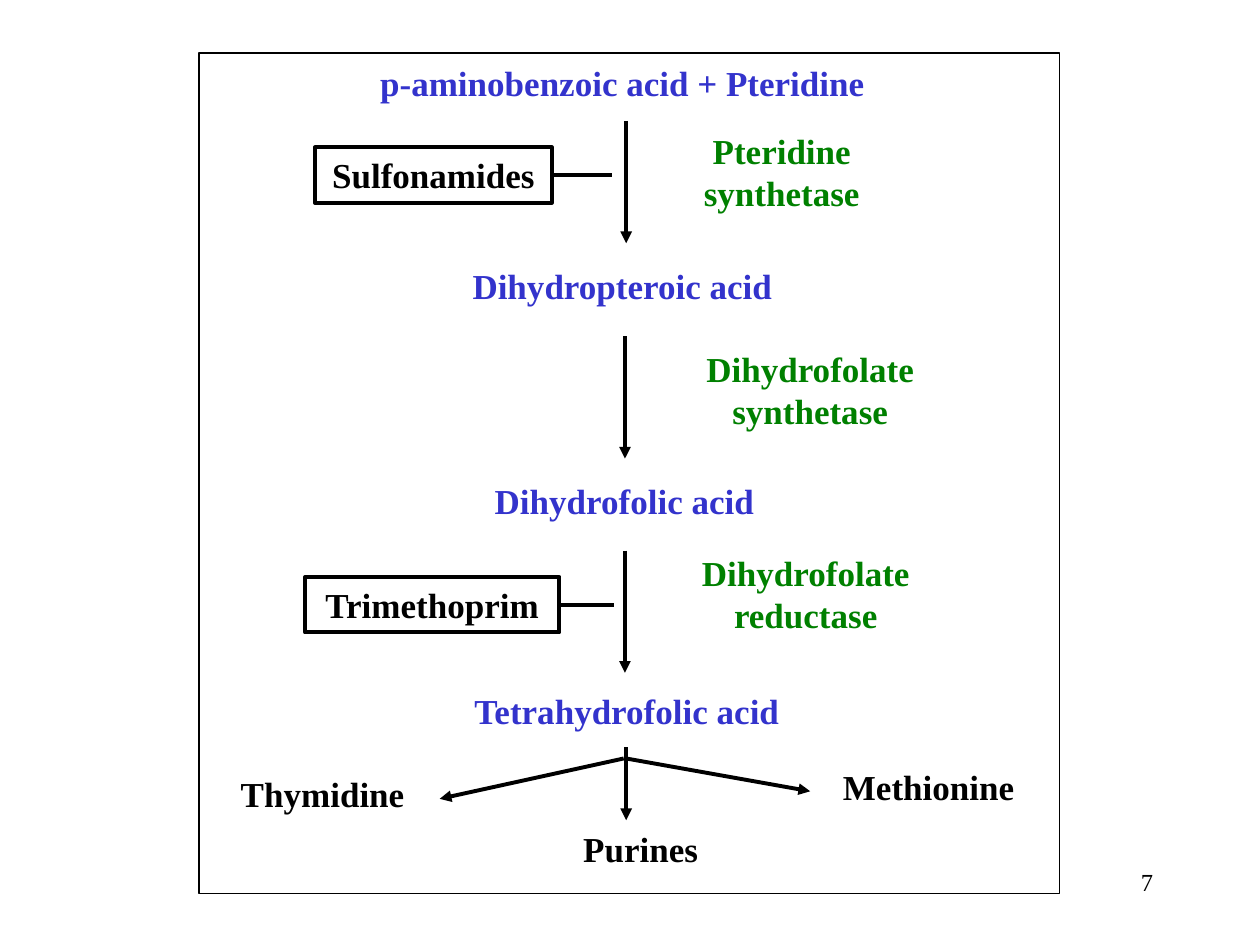
from lxml import etree
from pptx import Presentation
from pptx.dml.color import RGBColor
from pptx.enum.shapes import MSO_CONNECTOR as Connector, MSO_SHAPE as Shape
from pptx.enum.text import MSO_ANCHOR as Anchor, PP_ALIGN as Align
from pptx.oxml.ns import qn
from pptx.util import Inches, Pt

BLACK, BLUE, GREEN, WHITE = "000000", "3333CC", "008000", "FFFFFF"


def color(value):
    return RGBColor.from_string(value)


class PathwaySlide:
    font = "Times New Roman"
    size = 20
    stroke = 2.25
    label_height = 0.44

    def __init__(self, slide):
        self.slide = slide
        self.shapes = slide.shapes

    def set_text(self, shape, text, hue, size=None, bold=True, align=Align.CENTER, before=12.5):
        frame = shape.text_frame
        frame.word_wrap = True
        frame.vertical_anchor = Anchor.TOP
        paragraph = frame.paragraphs[0]
        paragraph.text = text
        paragraph.alignment = align
        paragraph.space_before = Pt(before)
        font = paragraph.font
        font.name, font.size, font.bold = self.font, Pt(size or self.size), bold
        font.color.rgb = color(hue)

    def label(self, text, left, top, width, hue, height=label_height, **style):
        box = self.shapes.add_textbox(*map(Inches, (left, top, width, height)))
        self.set_text(box, text, hue, **style)

    def rectangle(self, left, top, width, height, stroke, fill=None):
        box = self.shapes.add_shape(Shape.RECTANGLE, *map(Inches, (left, top, width, height)))
        box.shadow.inherit = False
        if fill:
            box.fill.solid()
            box.fill.fore_color.rgb = color(fill)
        else:
            box.fill.background()
        box.line.color.rgb = color(BLACK)
        box.line.width = Pt(stroke)
        return box

    def line(self, x1, y1, x2, y2, arrow=True):
        line = self.shapes.add_connector(Connector.STRAIGHT, *map(Inches, (x1, y1, x2, y2)))
        line.line.color.rgb = color(BLACK)
        line.line.width = Pt(self.stroke)
        properties = line._element.spPr
        if arrow:
            etree.SubElement(properties.find(qn("a:ln")), qn("a:tailEnd"), type="triangle")
        etree.SubElement(properties, qn("a:effectLst"))
        return line

    def inhibitor(self, text, left, top, width, reach):
        box = self.rectangle(left, top, width, self.label_height, self.stroke)
        self.set_text(box, text, BLACK)
        middle = top + self.label_height / 2
        bar = self.line(left + width, middle, reach, middle, arrow=False)
        bar.begin_connect(box, 3)


def main():
    deck = Presentation()
    deck.slide_width, deck.slide_height = Inches(10), Inches(7.5)
    pathway = PathwaySlide(deck.slides.add_slide(deck.slide_layouts[6]))

    pathway.rectangle(1.58, 0.42, 6.83, 6.67, 0.75, WHITE)

    for metabolite, left, top, width in (
        ("p-aminobenzoic acid + Pteridine", 2.4, 0.44, 5.08),
        ("Dihydropteroic acid", 3.31, 2.05, 3.26),
        ("Dihydrofolic acid", 3.56, 3.76, 2.79),
        ("Tetrahydrofolic acid", 3.26, 5.42, 3.43),
    ):
        pathway.label(metabolite, left, top, width, BLUE)

    for enzyme, top, width in (
        ("Pteridine synthetase", 0.98, 1.87),
        ("Dihydrofolate synthetase", 2.71, 2.32),
        ("Dihydrofolate reductase", 4.33, 2.25),
    ):
        pathway.label(enzyme, 5.27, top, width, GREEN, height=0.77)

    for x, top in ((4.97, 0.96), (4.96, 2.67), (4.96, 4.37)):
        pathway.line(x, top, x, top + 0.97)

    for product, left, top, width, arrow in (
        ("Thymidine", 1.65, 6.08, 1.82, (4.95, 6.02, 3.49, 6.34)),
        ("Purines", 4.38, 6.52, 1.41, (4.97, 5.93, 4.97, 6.51)),
        ("Methionine", 6.41, 6.03, 1.92, (4.97, 6.02, 6.43, 6.28)),
    ):
        pathway.label(product, left, top, width, BLACK)
        pathway.line(*arrow)

    pathway.inhibitor("Trimethoprim", 2.42, 4.58, 2.02, 4.87)
    pathway.inhibitor("Sulfonamides", 2.5, 1.17, 1.88, 4.86)

    pathway.label("7", 7.17, 6.83, 2.08, BLACK, height=0.5,
                  size=14, bold=False, align=Align.RIGHT, before=0)

    deck.save("out.pptx")


if __name__ == "__main__":
    main()
